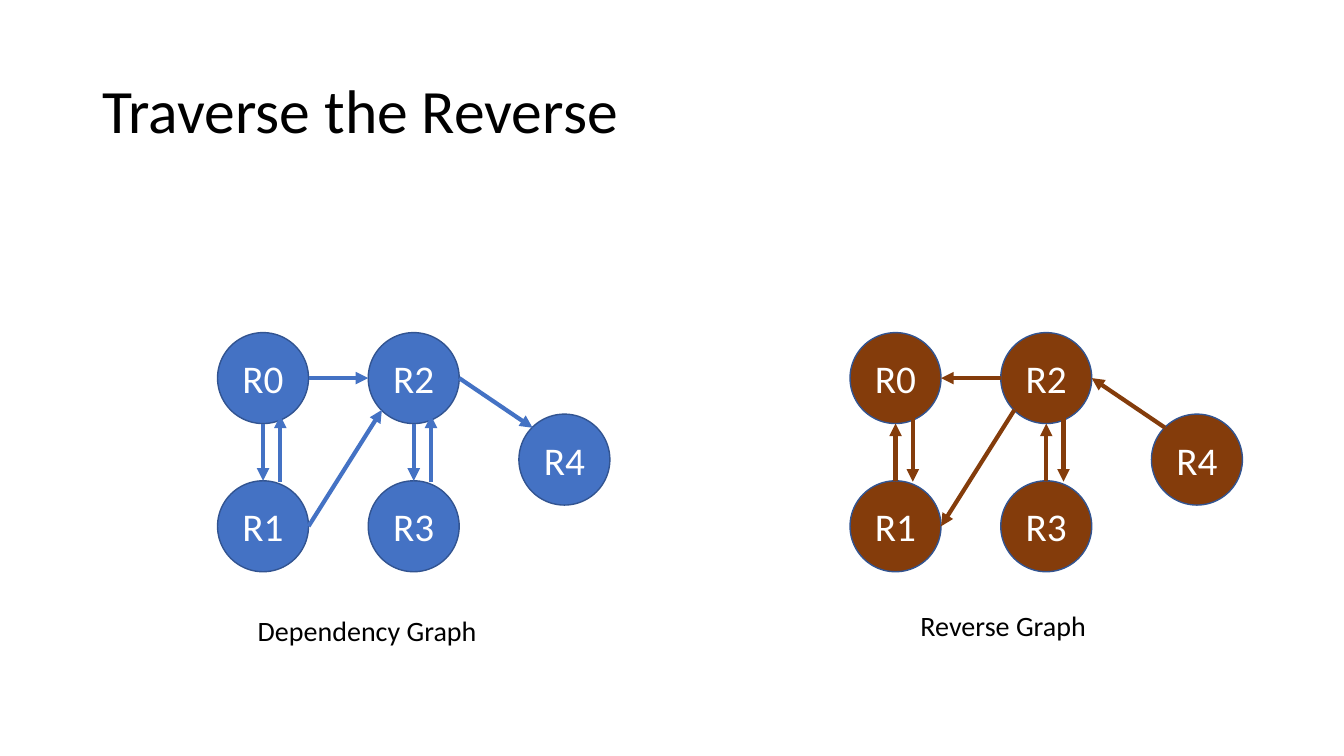
from pptx import Presentation
from pptx.dml.color import RGBColor
from pptx.enum.shapes import MSO_CONNECTOR as CONNECTOR, MSO_SHAPE as SHAPE
from pptx.enum.text import MSO_ANCHOR as ANCHOR, MSO_AUTO_SIZE as FIT, PP_ALIGN as ALIGN
from pptx.oxml.ns import qn
from pptx.util import Inches, Pt
from lxml.etree import SubElement

COLORS = {"text": "000000", "label": "FFFFFF", "outline": "325491",
          "dependency": "4472C4", "reverse": "843C0B"}

# The slide is a grid of 160 columns by 90 rows
COLUMNS, ROWS = 160, 90
DIAMETER, COLUMN_STEP, ROW_STEP = 10.83, 17.94, 17.64

# Node places in graph steps: column, row
NODES = {"R0": (0, 0), "R1": (0, 1), "R2": (1, 0), "R3": (1, 1), "R4": (2, 0.55)}

# Points on a node as shares of its diameter
TOP, BOTTOM, LEFT, RIGHT = (0.5, 0), (0.5, 1), (0, 0.5), (1, 0.5)
LOWER_LEFT, UPPER_LEFT = (0.15, 0.85), (0.15, 0.15)
RETURN_START, RETURN_END = (0.69, 0.01), (0.69, 0.91)

EDGES = [("R0", BOTTOM, "R1", TOP), ("R0", RIGHT, "R2", LEFT),
         ("R1", RETURN_START, "R0", RETURN_END), ("R1", RIGHT, "R2", LOWER_LEFT),
         ("R2", BOTTOM, "R3", TOP), ("R3", RETURN_START, "R2", RETURN_END),
         ("R2", RIGHT, "R4", UPPER_LEFT)]


class GraphSlide:
    font = "Calibri"

    def __init__(self, prs):
        self.column, self.row = prs.slide_width / COLUMNS, prs.slide_height / ROWS
        self.slide = prs.slides.add_slide(prs.slide_layouts[5])

    def place(self, *lengths):
        """Turn alternating columns and rows into slide units."""
        return [round(n * (self.row if i % 2 else self.column))
                for i, n in enumerate(lengths)]

    def set_text(self, shape, words, size, color, align=ALIGN.LEFT, spacing=1.0,
                 **frame_format):
        frame = shape.text_frame
        frame.text = words
        paragraph = frame.paragraphs[0]
        formats = ((frame, frame_format),
                   (paragraph, {"alignment": align, "line_spacing": spacing}),
                   (paragraph.font, {"name": self.font, "size": Pt(size)}))
        for target, values in formats:
            for name, value in values.items():
                setattr(target, name, value)
        paragraph.font.color.rgb = RGBColor.from_string(COLORS[color])

    def title(self, words, *box):
        heading = self.slide.shapes.title
        for name, value in zip(("left", "top", "width", "height"), self.place(*box)):
            setattr(heading, name, value)
        self.set_text(heading, words, 44, "text", spacing=0.9, word_wrap=True,
                      auto_size=FIT.NONE, vertical_anchor=ANCHOR.MIDDLE)

    def caption(self, words, *box):
        label = self.slide.shapes.add_textbox(*self.place(*box))
        self.set_text(label, words, 20, "text", word_wrap=False,
                      auto_size=FIT.SHAPE_TO_FIT_TEXT)

    def node(self, group, name, corner, color):
        circle = group.shapes.add_shape(
            SHAPE.OVAL, *self.place(*corner, DIAMETER, DIAMETER))
        circle.shadow.inherit = False
        circle.fill.solid()
        circle.fill.fore_color.rgb = RGBColor.from_string(COLORS[color])
        circle.line.color.rgb = RGBColor.from_string(COLORS["outline"])
        circle.line.width = Pt(1)
        self.set_text(circle, name, 28, "label", ALIGN.CENTER, word_wrap=False,
                      vertical_anchor=ANCHOR.MIDDLE)

    def arrow(self, group, start, end, color, arrow_end):
        edge = group.shapes.add_connector(
            CONNECTOR.STRAIGHT, *self.place(*start, *end))
        edge.line.color.rgb = RGBColor.from_string(COLORS[color])
        edge.line.width = Pt(3)
        SubElement(edge.get_or_add_ln(), qn(arrow_end), type="triangle")
        SubElement(edge._element.spPr, qn("a:effectLst"))

    def graph(self, left, top, color, arrow_end):
        group = self.slide.shapes.add_group_shape()
        corners = {name: (left + column * COLUMN_STEP, top + row * ROW_STEP)
                   for name, (column, row) in NODES.items()}

        def point(name, shares):
            return [c + share * DIAMETER for c, share in zip(corners[name], shares)]

        for name, corner in corners.items():
            self.node(group, name, corner, color)
        for source, leaving, target, entering in EDGES:
            self.arrow(group, point(source, leaving), point(target, entering),
                       color, arrow_end)


def main():
    prs = Presentation()
    prs.slide_width, prs.slide_height = Inches(13.33), Inches(7.5)
    page = GraphSlide(prs)

    page.title("Traverse the Reverse", 11, 4.8, 138, 17.4)

    # Same edges, with the arrowheads at opposite ends
    page.graph(25.9, 39.6, "dependency", "a:tailEnd")
    page.graph(101.2, 39.6, "reverse", "a:headEnd")

    # Captions under the graphs
    page.caption("Dependency Graph", 29.5, 72.5, 28.7, 5.25)
    page.caption("Reverse Graph", 108.4, 71.8, 22.3, 5.25)

    prs.save("out.pptx")


if __name__ == "__main__":
    main()
